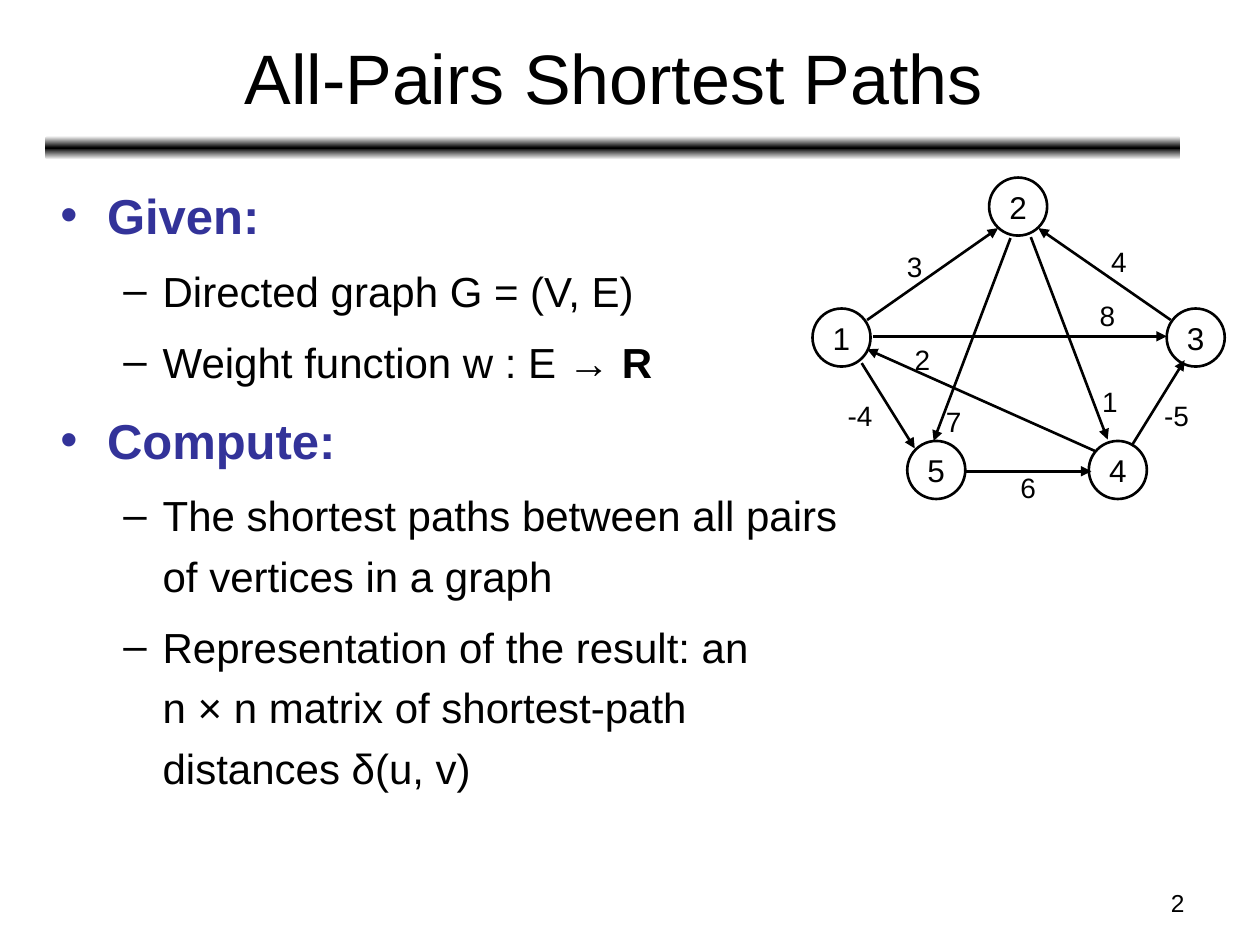
from copy import deepcopy
from typing import NamedTuple

from lxml import etree
from pptx import Presentation
from pptx.dml.color import RGBColor
from pptx.enum.shapes import MSO_CONNECTOR, MSO_SHAPE
from pptx.enum.text import MSO_ANCHOR, MSO_AUTO_SIZE, PP_ALIGN
from pptx.oxml.ns import qn
from pptx.util import Cm, Pt

ROUND, OVAL = MSO_SHAPE.ROUNDED_RECTANGLE, MSO_SHAPE.OVAL
LINE = MSO_CONNECTOR.STRAIGHT
MIDDLE = MSO_ANCHOR.MIDDLE
GROW = MSO_AUTO_SIZE.SHAPE_TO_FIT_TEXT
LEFT, CENTER, RIGHT = PP_ALIGN.LEFT, PP_ALIGN.CENTER, PP_ALIGN.RIGHT

COLORS = {"ink": "000000", "paper": "FFFFFF", "head": "333399"}
NODE = 1.17


class Node(NamedTuple):
    name: str
    left: float
    top: float


class Edge(NamedTuple):
    start: tuple[float, float]
    end: tuple[float, float]
    weight: str
    spot: tuple[float, float]


class Level(NamedTuple):
    mark: str
    indent: float
    hang: float
    size: int
    space: int
    color: str
    bold: bool


class Item(NamedTuple):
    level: Level
    text: str
    strong: str = ""


HEAD = Level("•", 0.94, 0.94, 28, 7, "head", True)
POINT = Level("–", 2.06, 0.79, 24, 6, "ink", False)

ITEMS = [
    Item(HEAD, "Given:"),
    Item(POINT, "Directed graph G = (V, E)"),
    Item(POINT, "Weight function w : E → ", "R"),
    Item(HEAD, "Compute:"),
    Item(POINT, "The shortest paths between all pairs of vertices in a graph"),
    Item(POINT, "Representation of the result: an\v"
                "n × n matrix of shortest-path distances δ(u, v)"),
]
NODES = [
    Node("1", 16.38, 6.22),
    Node("2", 19.94, 3.58),
    Node("3", 23.52, 6.22),
    Node("5", 18.29, 8.89),
    Node("4", 21.95, 8.89),
]
EDGES = [
    Edge((17.48, 6.45), (20.12, 4.6), "3", (18.03, 4.9)),
    Edge((17.37, 7.32), (18.44, 9.04), "-4", (16.84, 7.9)),
    Edge((19.48, 9.5), (22, 9.5), "6", (20.32, 9.37)),
    Edge((20.78, 4.78), (22.33, 8.86), "1", (21.97, 7.62)),
    Edge((22.07, 9.09), (17.48, 7.04), "2", (18.19, 6.78)),
    Edge((23.6, 6.45), (20.93, 4.6), "4", (22.15, 4.8)),
    Edge((20.37, 4.8), (18.82, 8.89), "7", (18.82, 8.03)),
    Edge((22.81, 8.99), (23.88, 7.26), "-5", (23.22, 7.9)),
    Edge((17.6, 6.78), (23.52, 6.78), "8", (21.92, 5.89)),
]


def rgb(name: str) -> RGBColor:
    return RGBColor.from_string(COLORS[name])


def style(para, size: int, color: str = "ink", bold: bool = False,
          align=LEFT) -> None:
    para.alignment = align
    font = para.font
    font.name, font.size, font.bold = "Arial", Pt(size), bold
    font.color.rgb = rgb(color)


def write(frame, text: str, size: int, align=LEFT) -> None:
    para = frame.paragraphs[0]
    para.text = text
    style(para, size, align=align)


def draw_title(slide) -> None:
    title = slide.shapes.title
    title.left, title.top = Cm(0.94), Cm(0.28)
    title.width, title.height = Cm(22.86), Cm(2.51)
    title.text_frame.vertical_anchor = MIDDLE
    write(title.text_frame, "All-Pairs Shortest Paths", 40, CENTER)


def draw_rule(slide) -> None:
    """Draw the bar below the title, fading from black to white both ways."""
    bar = slide.shapes.add_shape(ROUND, Cm(0.91), Cm(2.74), Cm(22.89), Cm(0.48))
    bar.shadow.inherit = False
    bar.line.fill.background()
    bar.fill.gradient()
    bar.fill.gradient_angle = 90
    stops = bar._element.spPr.find(".//" + qn("a:gsLst"))
    stops.insert(1, deepcopy(stops[0]))
    shades = [(0, "paper"), (0.5, "ink"), (1, "paper")]
    for stop, (place, color) in zip(bar.fill.gradient_stops, shades):
        stop.position = place
        stop.color.rgb = rgb(color)


def add_mark(para, level: Level) -> None:
    """Give a fresh paragraph its bullet and hanging indent."""
    props = para._p.get_or_add_pPr()
    props.set("marL", str(Cm(level.indent)))
    props.set("indent", str(-Cm(level.hang)))
    tint = etree.SubElement(props, qn("a:buClr"))
    etree.SubElement(tint, qn("a:srgbClr"), val=COLORS[level.color])
    etree.SubElement(props, qn("a:buFont"), typeface="Arial")
    etree.SubElement(props, qn("a:buChar"), char=level.mark)


def draw_items(slide, items: list[Item]) -> None:
    box = slide.shapes.add_textbox(Cm(0.97), Cm(3.38), Cm(16.26), Cm(14.1))
    frame = box.text_frame
    frame.word_wrap = True
    for i, item in enumerate(items):
        para = frame.add_paragraph() if i else frame.paragraphs[0]
        level = item.level
        para.text = item.text
        add_mark(para, level)
        para.level = 0 if level is HEAD else 1
        para.line_spacing = 1.2
        para.space_before = Pt(level.space)
        style(para, level.size, level.color, level.bold)
        if item.strong:
            run = para.add_run()
            run.text = item.strong
            run.font.bold = True


def draw_node(group, node: Node) -> None:
    disc = group.shapes.add_shape(
        OVAL, Cm(node.left), Cm(node.top), Cm(NODE), Cm(NODE))
    disc.shadow.inherit = False
    disc.fill.background()
    disc.line.color.rgb = rgb("ink")
    disc.line.width = Pt(1.5)
    frame = disc.text_frame
    frame.word_wrap = False
    frame.vertical_anchor = MIDDLE
    write(frame, node.name, 18, CENTER)


def draw_edge(group, edge: Edge) -> None:
    """Draw an arrow and its weight."""
    ends = [Cm(n) for n in edge.start + edge.end]
    arrow = group.shapes.add_connector(LINE, *ends)
    arrow.line.color.rgb = rgb("ink")
    arrow.line.width = Pt(1.5)
    etree.SubElement(arrow.line._get_or_add_ln(), qn("a:tailEnd"), type="triangle")
    etree.SubElement(arrow._element.spPr, qn("a:effectLst"))

    width = 1.1 if len(edge.weight) > 1 else 0.81
    left, top = edge.spot
    box = group.shapes.add_textbox(Cm(left), Cm(top), Cm(width), Cm(0.94))
    box.text_frame.word_wrap = False
    box.text_frame.auto_size = GROW
    write(box.text_frame, edge.weight, 16)


def main() -> None:
    deck = Presentation()
    deck.slide_width, deck.slide_height = Cm(25.4), Cm(19.05)
    slide = deck.slides.add_slide(deck.slide_layouts[5])
    draw_rule(slide)
    draw_title(slide)
    draw_items(slide, ITEMS)
    page = slide.shapes.add_textbox(Cm(18.21), Cm(17.78), Cm(5.92), Cm(0.89))
    page.text_frame.word_wrap = True
    write(page.text_frame, "2", 14, RIGHT)
    graph = slide.shapes.add_group_shape()
    for node in NODES:
        draw_node(graph, node)
    for edge in EDGES:
        draw_edge(graph, edge)
    deck.save("out.pptx")


if __name__ == "__main__":
    main()
